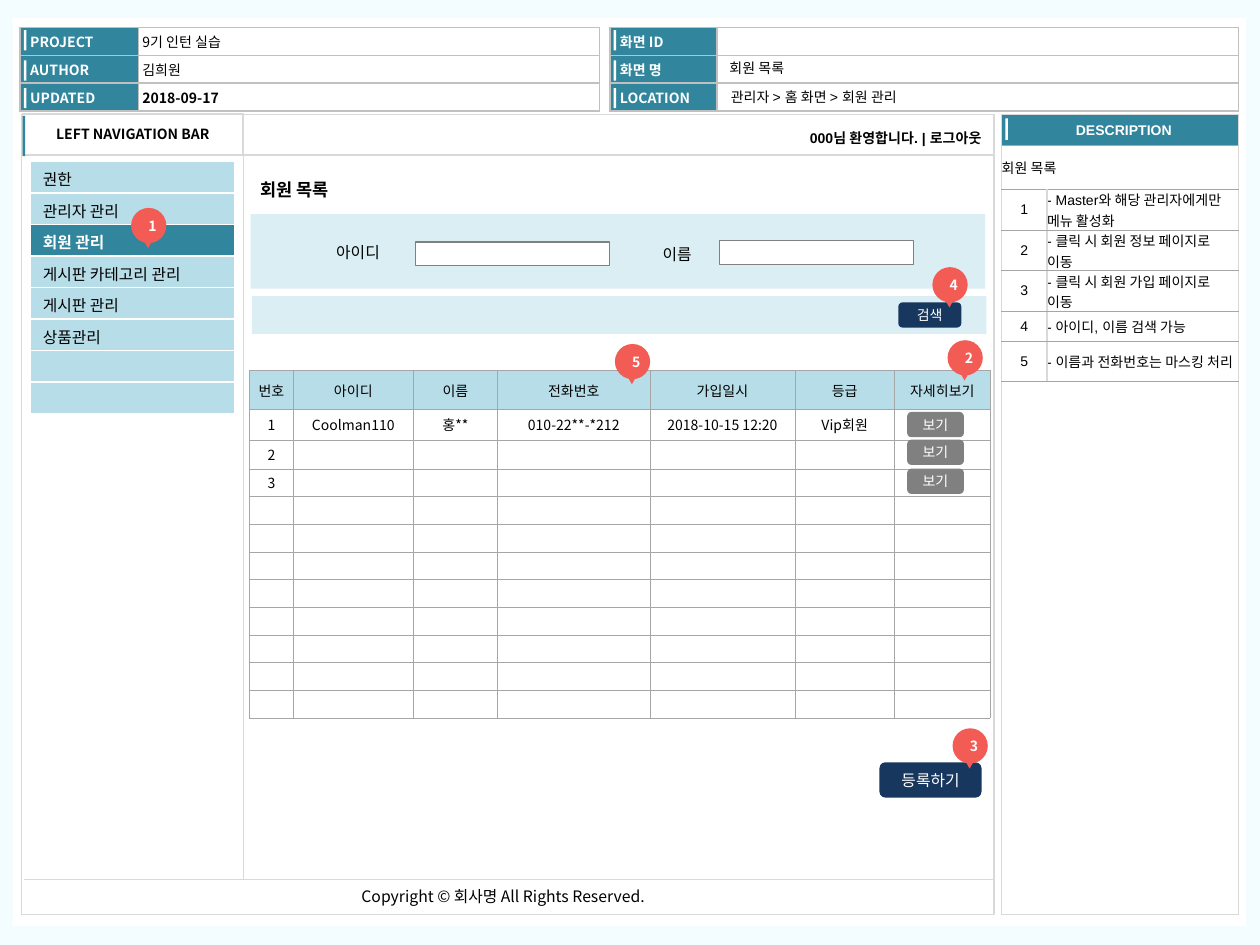
"""Build a wireframe slide of a member list page in an admin site."""
from lxml.etree import SubElement
from pptx import Presentation
from pptx.dml.color import RGBColor
from pptx.enum.shapes import MSO_CONNECTOR, MSO_SHAPE
from pptx.enum.text import MSO_ANCHOR, PP_ALIGN
from pptx.oxml import parse_xml
from pptx.oxml.ns import nsdecls, qn
from pptx.util import Inches, Pt

COLORS = {
    "page": "F3FCFF", "white": "FFFFFF", "black": "000000", "teal": "31859C",
    "sky": "B7DEE8", "pale": "DBEEF4", "navy": "17375E", "gray": "808080",
    "grid": "A6A6A6", "silver": "C0C0C0", "frame": "D9D9D9", "coral": "F25C54",
}
KOREAN = "Noto Sans CJK KR"
LEFT, CENTER, RIGHT = PP_ALIGN.LEFT, PP_ALIGN.CENTER, PP_ALIGN.RIGHT


def rgb(color):
    return RGBColor.from_string(COLORS[color])


def write_text(frame, text, size=8, color="black", bold=False, font=KOREAN, align=LEFT):
    paragraph = frame.paragraphs[0]
    paragraph.alignment = align
    if not text:
        paragraph._p.get_or_add_endParaRPr().set("sz", str(size * 100))
        return
    run = paragraph.add_run()
    run.text = text
    run.font.size = Pt(size)
    run.font.bold = bold
    run.font.name = font
    run.font.color.rgb = rgb(color)
    SubElement(run._r.get_or_add_rPr(), qn("a:ea")).set("typeface", KOREAN)


def set_margins(target, left, top, right, bottom):
    target.margin_left, target.margin_top = Inches(left), Inches(top)
    target.margin_right, target.margin_bottom = Inches(right), Inches(bottom)


def add_box(shapes, kind, box, fill=None, line=None, text="", margins=(0, 0, 0, 0), **text_format):
    shape = shapes.add_shape(kind, *map(Inches, box))
    shape.shadow.inherit = False
    if fill:
        shape.fill.solid()
        shape.fill.fore_color.rgb = rgb(fill)
    else:
        shape.fill.background()
    if line:
        shape.line.color.rgb = rgb(line)
        shape.line.width = Pt(0.75)
    else:
        shape.line.fill.background()
    if text:
        set_margins(shape.text_frame, *margins)
        shape.text_frame.vertical_anchor = MSO_ANCHOR.MIDDLE
        write_text(shape.text_frame, text, align=CENTER, **text_format)
    return shape


def add_label(shapes, box, text, wrap=True, margins=(0.08, 0.04, 0.08, 0.04), **text_format):
    frame = shapes.add_textbox(*map(Inches, box)).text_frame
    frame.word_wrap = wrap
    set_margins(frame, *margins)
    write_text(frame, text, **text_format)


def add_title(slide, box, text):
    title = slide.shapes.title
    title.left, title.top, title.width, title.height = map(Inches, box)
    frame = title.text_frame
    frame.word_wrap = False
    frame.vertical_anchor = MSO_ANCHOR.TOP
    set_margins(frame, 0.1, 0.05, 0.1, 0.05)
    write_text(frame, text, size=10, bold=True)
    slide.shapes._spTree.append(title._element)


def add_line(shapes, start, end, width):
    connector = shapes.add_connector(MSO_CONNECTOR.STRAIGHT, *map(Inches, start + end))
    connector.line.color.rgb = rgb("frame")
    connector.line.width = Pt(width)
    SubElement(connector._element.spPr, qn("a:effectLst"))


def add_grid(shapes, corner, widths, heights, across, down):
    frame = shapes.add_table(len(heights), len(widths), *map(Inches, corner),
                             Inches(sum(widths)), Inches(sum(heights)))
    table = frame.table
    table.first_row = table.horz_banding = False
    for column, width in zip(table.columns, widths):
        column.width = Inches(width)
    for row, height in zip(table.rows, heights):
        row.height = Inches(height)
    for cell in table.iter_cells():
        properties = cell._tc.get_or_add_tcPr()
        for side, (color, width) in zip("LRTB", (down, down, across, across)):
            properties.append(parse_xml(
                f'<a:ln{side} {nsdecls("a")} w="{Pt(width)}"><a:solidFill>'
                f'<a:srgbClr val="{COLORS[color]}"/></a:solidFill></a:ln{side}>'))
        fill_cell(cell)
    return table


def fill_cell(cell, text="", fill="white", margins=(0, 0, 0, 0),
              anchor=MSO_ANCHOR.MIDDLE, **text_format):
    cell.fill.solid()
    cell.fill.fore_color.rgb = rgb(fill)
    cell.vertical_anchor = anchor
    set_margins(cell, *margins)
    write_text(cell.text_frame, text, **text_format)


def add_header(shapes, left, widths, labels, values):
    border = ("silver", 1)
    table = add_grid(shapes, (left, 0.22), widths, [0.22] * 3, border, border)
    for row, (label, value) in enumerate(zip(labels, values)):
        fill_cell(table.cell(row, 0), label, "teal", (0.08, 0, 0.03, 0), color="white", bold=True)
        fill_cell(table.cell(row, 1), value, margins=(0.03, 0, 0.03, 0), bold=label == "UPDATED")
    for top in (0.24, 0.48, 0.7):
        add_box(shapes, MSO_SHAPE.RECTANGLE, (left + 0.03, top, 0.02, 0.16), "white")


def add_description(shapes, notes):
    frame_border = ("frame", 1)
    panel = add_grid(shapes, (7.95, 0.91), [1.88], [0.25, 6.1], frame_border, frame_border)
    fill_cell(panel.cell(0, 0), "DESCRIPTION", "teal", (0.06, 0, 0, 0),
              color="white", bold=True, font="Arial", align=CENTER)
    add_box(shapes, MSO_SHAPE.RECTANGLE, (7.98, 0.94, 0.02, 0.17), "white")
    heights = [0.35, 0.33, 0.32, 0.32, 0.24, 0.32]
    table = add_grid(shapes, (7.95, 1.15), [0.36, 1.52], heights, ("grid", 0.5), frame_border)
    table.cell(0, 0).merge(table.cell(0, 1))
    fill_cell(table.cell(0, 0), "회원 목록", font="Arial")
    for number, note in enumerate(notes, 1):
        fill_cell(table.cell(number, 0), str(number), font="Arial", align=CENTER)
        fill_cell(table.cell(number, 1), note, font="Arial")


def add_navigation(shapes, items, selected):
    border = ("white", 1)
    table = add_grid(shapes, (0.24, 1.28), [1.62], [0.25] * 8, border, border)
    for row in range(8):
        active = row == selected
        fill_cell(table.cell(row, 0), items[row] if row < len(items) else "",
                  "teal" if active else "sky", (0.1, 0.05, 0.1, 0), MSO_ANCHOR.TOP,
                  size=9, color="white" if active else "black", bold=active)


def add_members(shapes, headings, rows):
    border = ("grid", 0.25)
    widths = [0.35, 0.95, 0.67, 1.21, 1.15, 0.79, 0.76]
    table = add_grid(shapes, (1.98, 2.94), widths, [0.31, 0.24, 0.23] + [0.22] * 9, border, border)
    for column, heading in enumerate(headings):
        fill_cell(table.cell(0, column), heading, "sky", align=CENTER)
    for row, values in enumerate(rows, 1):
        for column, value in enumerate(values):
            fill_cell(table.cell(row, column), value, align=CENTER)
    for top in (3.27, 3.49, 3.72):
        add_button(shapes, (7.2, top, 0.45, 0.2), "보기", "gray")


def add_button(shapes, box, text, fill="navy", size=8):
    add_box(shapes, MSO_SHAPE.ROUNDED_RECTANGLE, box, fill, text=text, size=size, color="white")


def add_callout(shapes, number, left, top):
    group = shapes.add_group_shape()
    circle = add_box(group.shapes, MSO_SHAPE.OVAL, (left, top, 0.28, 0.28), "coral",
                     text=str(number), margins=(0.06, 0, 0, 0), color="white", bold=True)
    circle.text_frame.word_wrap = False
    pointer = add_box(group.shapes, MSO_SHAPE.ISOSCELES_TRIANGLE,
                      (left + 0.09, top + 0.24, 0.09, 0.08), "coral")
    pointer.rotation = 180


def main():
    presentation = Presentation()
    presentation.slide_width, presentation.slide_height = Inches(10), Inches(7.5)
    slide = presentation.slides.add_slide(presentation.slide_layouts[5])
    slide.background.fill.solid()
    slide.background.fill.fore_color.rgb = rgb("page")
    shapes = slide.shapes
    rectangle = MSO_SHAPE.RECTANGLE
    roomy = (0.1, 0.05, 0.1, 0.05)

    add_box(shapes, rectangle, (0.1, 0.14, 9.79, 7.21), "white")
    add_header(shapes, 0.16, [0.94, 3.66], ["PROJECT", "AUTHOR", "UPDATED"],
               ["9기 인턴 실습", "김희원", "2018-09-17"])
    add_header(shapes, 4.84, [0.85, 4.14], ["화면 ID", "화면 명", "LOCATION"], [""] * 3)
    add_label(shapes, (5.72, 0.66, 2.9, 0.2), "관리자 > 홈 화면 > 회원 관리", font="Arial")
    add_label(shapes, (5.71, 0.43, 2.9, 0.2), "회원 목록", font="Arial")

    add_box(shapes, rectangle, (0.17, 0.91, 7.72, 6.35), line="frame")
    add_description(shapes, [
        "- Master와 해당 관리자에게만 메뉴 활성화", "- 클릭 시 회원 정보 페이지로 이동",
        "- 클릭 시 회원 가입 페이지로 이동", "- 아이디, 이름 검색 가능",
        "- 이름과 전화번호는 마스킹 처리"])
    add_line(shapes, (0.19, 6.98), (7.89, 6.98), 1)
    add_label(shapes, (2.77, 6.99, 2.52, 0.25), "Copyright © 회사명 All Rights Reserved.",
              wrap=False, margins=roomy, size=9)
    add_box(shapes, rectangle, (0.18, 0.9, 1.75, 0.33), line="frame",
            text="LEFT NAVIGATION BAR", bold=True)
    add_box(shapes, rectangle, (0.18, 0.92, 0.02, 0.32), "teal")
    add_line(shapes, (1.93, 0.91), (1.93, 6.98), 0.75)
    add_line(shapes, (1.93, 1.23), (7.89, 1.23), 1)
    add_label(shapes, (5.29, 0.99, 2.58, 0.22), "000님 환영합니다. | 로그아웃",
              font="Arial", bold=True, align=RIGHT)
    add_navigation(shapes, ["권한", "관리자 관리", "회원 관리", "게시판 카테고리 관리",
                            "게시판 관리", "상품관리"], selected=2)

    add_title(slide, (1.97, 1.37, 0.81, 0.27), "회원 목록")
    add_box(shapes, rectangle, (1.99, 1.7, 5.83, 0.59), "pale")
    add_box(shapes, rectangle, (2, 2.35, 5.83, 0.3), "pale")
    add_label(shapes, (2.57, 1.88, 0.58, 0.25), "아이디", wrap=False, margins=roomy, size=9)
    add_label(shapes, (5.16, 1.89, 0.45, 0.25), "이름", wrap=False, margins=roomy, size=9)
    for left, top in ((3.3, 1.92), (5.71, 1.91)):
        add_box(shapes, rectangle, (left, top, 1.54, 0.19), "white", "gray")
    add_button(shapes, (7.13, 2.4, 0.5, 0.2), "검색")
    add_members(shapes, ["번호", "아이디", "이름", "전화번호", "가입일시", "등급", "자세히보기"],
                [["1", "Coolman110", "홍**", "010-22**-*212", "2018-10-15 12:20", "Vip회원"],
                 ["2"], ["3"]])
    add_button(shapes, (6.98, 6.05, 0.81, 0.28), "등록하기", size=9)
    callouts = [(1.04, 1.65), (7.52, 2.7), (7.56, 5.78), (7.4, 2.12), (4.88, 2.73)]
    for number, (left, top) in enumerate(callouts, 1):
        add_callout(shapes, number, left, top)
    presentation.save("out.pptx")


if __name__ == "__main__":
    main()
